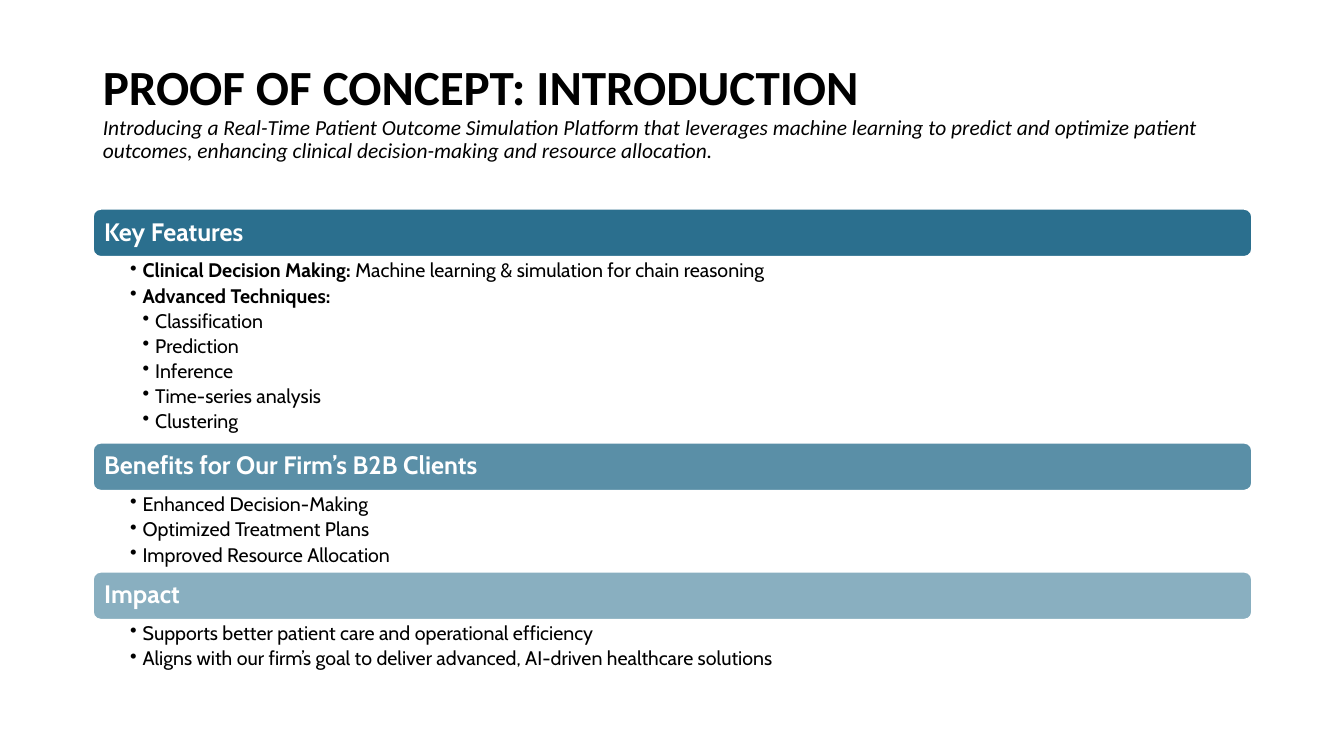
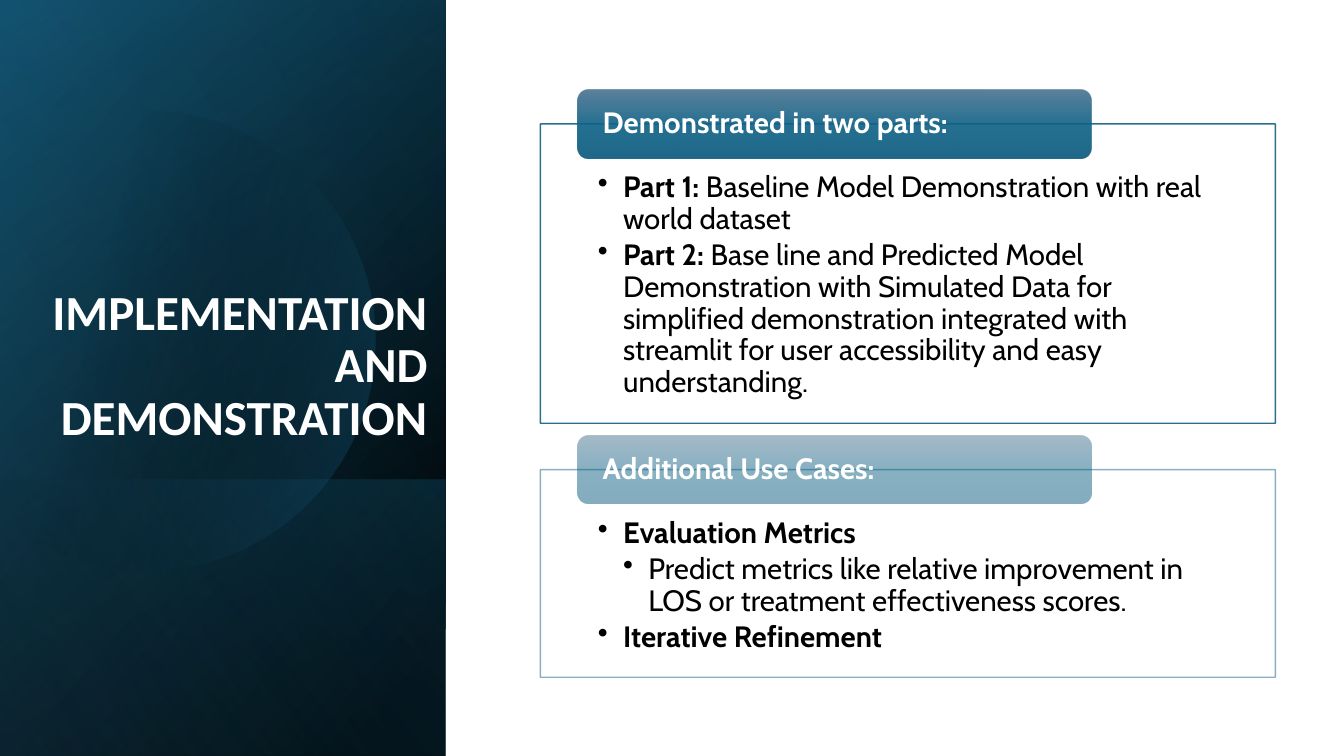
from math import acos, cos, pi, sin

from lxml import etree
from pptx import Presentation
from pptx.dml.color import RGBColor
from pptx.enum.shapes import MSO_SHAPE as Shape
from pptx.enum.text import MSO_ANCHOR as Anchor, MSO_AUTO_SIZE as AutoSize, PP_ALIGN as Align
from pptx.oxml import parse_xml
from pptx.oxml.ns import nsdecls, qn
from pptx.util import Inches, Pt

# Shared style
BLACK, WHITE, TEAL = "000000", "FFFFFF", "156082"
TITLE_FONT, BODY_FONT = "Calibri", "Cabin"
LINE_SPACING = 0.9

# Content: bullets are (level, bold text, plain text)
INTRO_TITLE = "PROOF OF CONCEPT: INTRODUCTION"
INTRO_SUBTITLE = (
    "Introducing a Real-Time Patient Outcome Simulation Platform that leverages machine "
    "learning to predict and optimize patient outcomes, enhancing clinical decision-making "
    "and resource allocation."
)
SECTIONS = [
    ("Key Features", 90, [
        (1, "Clinical Decision Making:", " Machine learning & simulation for chain reasoning"),
        (1, "Advanced Techniques:", ""),
        (2, "", "Classification"),
        (2, "", "Prediction"),
        (2, "", "Inference"),
        (2, "", "Time-series analysis"),
        (2, "", "Clustering"),
    ]),
    ("Benefits for Our Firm’s B2B Clients", 70, [
        (1, "", "Enhanced Decision-Making"),
        (1, "", "Optimized Treatment Plans"),
        (1, "", "Improved Resource Allocation"),
    ]),
    ("Impact", 50, [
        (1, "", "Supports better patient care and operational efficiency"),
        (1, "", "Aligns with our firm’s goal to deliver advanced, AI-driven healthcare solutions"),
    ]),
]
DEMO_TITLE = "IMPLEMENTATION AND DEMONSTRATION"
# Cards: heading, opacity, top, height, bullets
CARDS = [
    ("Demonstrated in two parts:", 90, 1.23, 2.97, [
        (1, "Part 1: ", "Baseline Model Demonstration with real world dataset"),
        (1, "Part 2: ", "Base line and Predicted Model Demonstration with Simulated Data for "
                        "simplified demonstration integrated with streamlit for user "
                        "accessibility and easy understanding."),
    ]),
    ("Additional Use Cases:", 50, 4.66, 2.06, [
        (1, "Evaluation Metrics", ""),
        (2, "", "Predict metrics like relative improvement in LOS or treatment effectiveness scores."),
        (1, "Iterative Refinement", ""),
    ]),
]
TAB_COLORS = [(0, "4C7591"), (50, "106287"), (100, "09597D")]

# Side panel layers: top, height, gradient angle, stops (position, colour, opacity)
PANEL_WIDTH = 4.42
PANEL_BASE = [
    (0, 7.5, 220, [(8, BLACK, 100), (100, "104862", 100)]),
    (0, 7.5, 240, [(0, BLACK, 0), (99, TEAL, 46)]),
    (4.76, 2.74, 140, [(2, TEAL, 29), (100, BLACK, 30)]),
]
PANEL_GLOW = (0, 7.5, 150, [(0, BLACK, 0), (99, "46B1E1", 11)])
DISC_X, DISC_Y, DISC_RADIUS = 1.44, 3.38, 2.28
DISC_STOPS = [(29, BLACK, 0), (100, TEAL, 43)]


def color(value):
    return RGBColor.from_string(value)


def apply(target, settings):
    for name, value in settings.items():
        setattr(target, name, value)


def solid(fill, value, opacity=100):
    fill.solid()
    fill.fore_color.rgb = color(value)
    if opacity < 100:
        tint = fill._xPr.find(qn("a:solidFill"))[0]
        etree.SubElement(tint, qn("a:alpha"), val=str(opacity * 1000))


def gradient(shape, angle, stops):
    marks = "".join(
        f'<a:gs pos="{position * 1000}"><a:srgbClr val="{value}">'
        f'<a:alpha val="{opacity * 1000}"/></a:srgbClr></a:gs>'
        for position, value, opacity in stops
    )
    fill = parse_xml(
        f'<a:gradFill {nsdecls("a")} rotWithShape="1"><a:gsLst>{marks}</a:gsLst>'
        f'<a:lin ang="{angle * 60000}" scaled="0"/></a:gradFill>'
    )
    outline = shape.line._get_or_add_ln()
    shape.line.fill.background()
    outline.addprevious(fill)


def add_box(page, kind, *place):
    box = page.shapes.add_shape(kind, *map(Inches, place))
    box.shadow.inherit = False
    return box


def set_frame(shape, anchor, insets):
    frame = shape.text_frame
    left, top, right, bottom = map(Inches, insets)
    apply(frame, dict(word_wrap=True, auto_size=AutoSize.NONE, vertical_anchor=anchor,
                      margin_left=left, margin_top=top, margin_right=right, margin_bottom=bottom))
    return frame


def add_para(frame, spans, first, align=Align.LEFT, after=0):
    """Write one paragraph; each span is (text, size, font, colour, bold, italic)."""
    para = frame.paragraphs[0] if first else frame.add_paragraph()
    apply(para, dict(alignment=align, line_spacing=LINE_SPACING,
                     space_before=Pt(0), space_after=Pt(after)))
    for text, size, font, value, bold, italic in spans:
        span = para.add_run()
        span.text = text
        apply(span.font, dict(size=Pt(size), name=font, bold=bold, italic=italic))
        span.font.color.rgb = color(value)
    return para


def add_bullets(frame, bullets, size, indent, hang, after):
    for index, (level, bold, plain) in enumerate(bullets):
        spans = [(text, size, BODY_FONT, BLACK, strong, False)
                 for text, strong in ((bold, True), (plain, False)) if text]
        para = add_para(frame, spans, index == 0, after=after)
        para.level = level
        props = para._p.get_or_add_pPr()
        props.set("marL", str(Inches(indent * level)))
        props.set("indent", str(-Inches(hang)))
        etree.SubElement(props, qn("a:buChar"), char="•")


def add_heading(shape, text, size, inset):
    frame = set_frame(shape, Anchor.MIDDLE, (inset, 0, inset, 0))
    add_para(frame, [(text, size, BODY_FONT, WHITE, True, False)], True, after=0.35 * size)


def place_title(page, place, anchor, insets, paras, value, align):
    title = page.shapes.title
    apply(title, dict(zip(("left", "top", "width", "height"), map(Inches, place))))
    frame = set_frame(title, anchor, insets)
    for index, (text, size, bold, italic) in enumerate(paras):
        add_para(frame, [(text, size, TITLE_FONT, value, bold, italic)], index == 0, align)


def build_intro(page):
    left, width, top, bar_height, gap = 0.92, 11.5, 2.07, 0.48, 0.01
    place_title(page, (left, 0.61, width, 1.24), Anchor.TOP, (0.1, 0.02, 0.1, 0),
                [(INTRO_TITLE, 35.1, True, False), (INTRO_SUBTITLE, 15.3, False, True)],
                BLACK, Align.LEFT)
    for heading, opacity, bullets in SECTIONS:
        bar = add_box(page, Shape.ROUNDED_RECTANGLE, left, top, width, bar_height)
        solid(bar.fill, TEAL, opacity)
        solid(bar.line.fill, WHITE)
        bar.line.width = Pt(1.5)
        add_heading(bar, heading, 18, 0.09)

        # Bullets fill the space down to the next bar
        top += bar_height + gap
        height = 0.26 * len(bullets) + gap
        body = page.shapes.add_textbox(*map(Inches, (left, top, width, height)))
        frame = set_frame(body, Anchor.TOP, (0.37, 0.03, 0.14, 0.03))
        add_bullets(frame, bullets, 14, 0.125, 0.125, 2.8)
        top += height


def add_layer(page, top, height, angle, stops):
    gradient(add_box(page, Shape.RECTANGLE, 0, top, PANEL_WIDTH, height), angle, stops)


def add_disc(page):
    # Circle cut off at the left edge of the slide
    reach, steps = acos(-DISC_X / DISC_RADIUS), 120
    angles = [reach * (2 * step / steps - 1) for step in range(steps + 1)]
    points = [(Inches(DISC_X + DISC_RADIUS * cos(angle)), Inches(DISC_Y + DISC_RADIUS * sin(angle)))
              for angle in angles]
    builder = page.shapes.build_freeform(*points[0])
    builder.add_line_segments(points[1:], close=True)
    disc = builder.convert_to_shape()
    disc.shadow.inherit = False
    gradient(disc, 14, DISC_STOPS)


def build_demo(page):
    # Side panel
    for layer in PANEL_BASE:
        add_layer(page, *layer)
    add_disc(page)
    add_layer(page, *PANEL_GLOW)
    title = page.shapes.title._element
    title.getparent().append(title)
    place_title(page, (0.29, 1.93, 4.05, 2.55), Anchor.BOTTOM, (0.1, 0.05, 0.1, 0.05),
                [(DEMO_TITLE, 35, True, False)], WHITE, Align.RIGHT)

    # Cards, each with a tab centred on its top edge
    left, width, tab_height = 5.36, 7.29, 0.68
    for heading, opacity, top, height, bullets in CARDS:
        card = add_box(page, Shape.RECTANGLE, left, top, width, height)
        solid(card.fill, WHITE, 90)
        solid(card.line.fill, TEAL, opacity)
        card.line.width = Pt(1)
        frame = set_frame(card, Anchor.TOP, (0.57, 0.48, 0.57, 0.16))
        add_bullets(frame, bullets, 21, 0.25, 0.25, 3.15)

        tab = add_box(page, Shape.ROUNDED_RECTANGLE, left + width * 0.05, top - tab_height / 2,
                      width * 0.7, tab_height)
        gradient(tab, 90, [(position, value, opacity) for position, value in TAB_COLORS])
        add_heading(tab, heading, 21, 0.22)


def main():
    deck = Presentation()
    deck.slide_width, deck.slide_height = Inches(13.33), Inches(7.5)
    for build in (build_intro, build_demo):
        build(deck.slides.add_slide(deck.slide_layouts[5]))
    deck.save("out.pptx")


if __name__ == "__main__":
    main()
